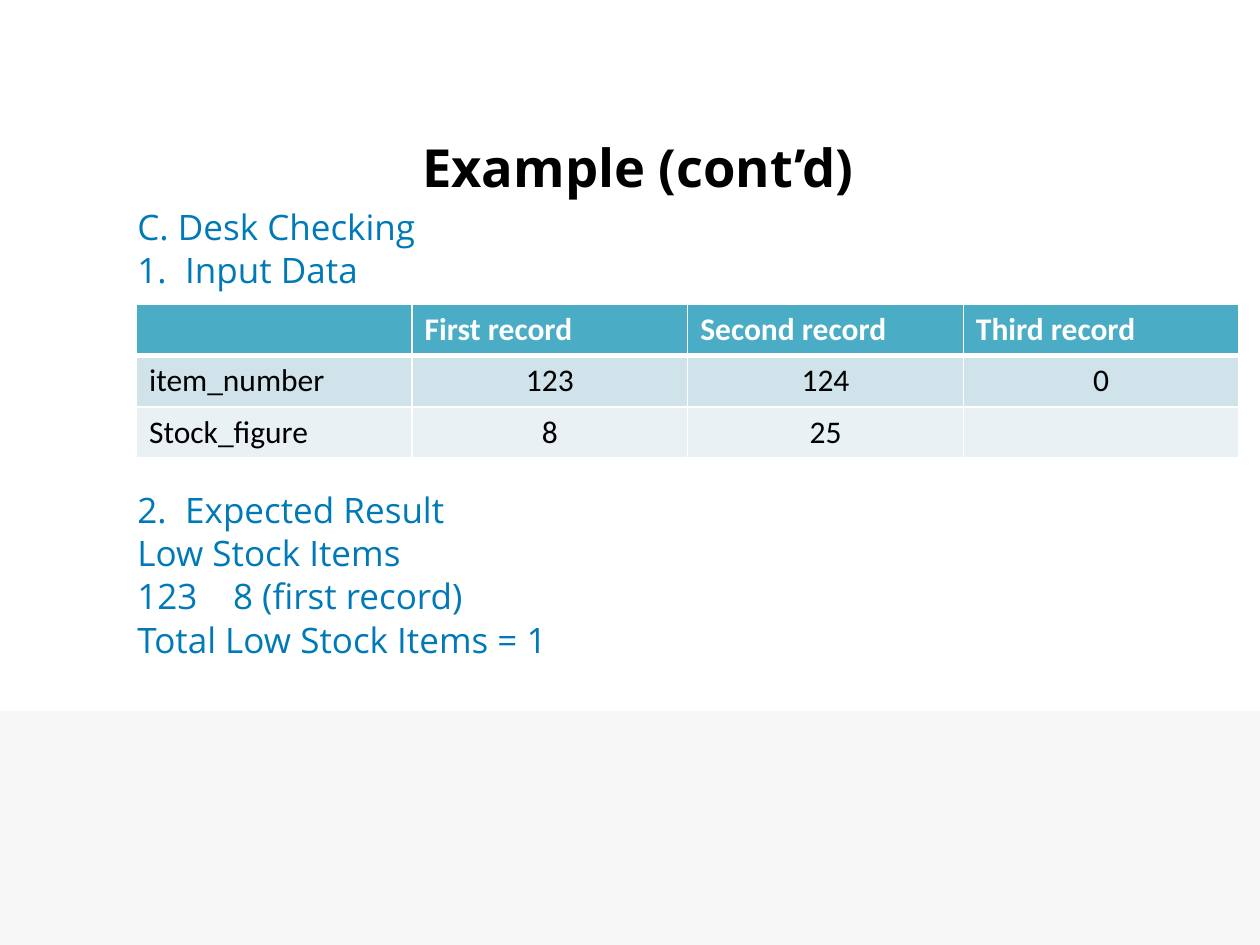
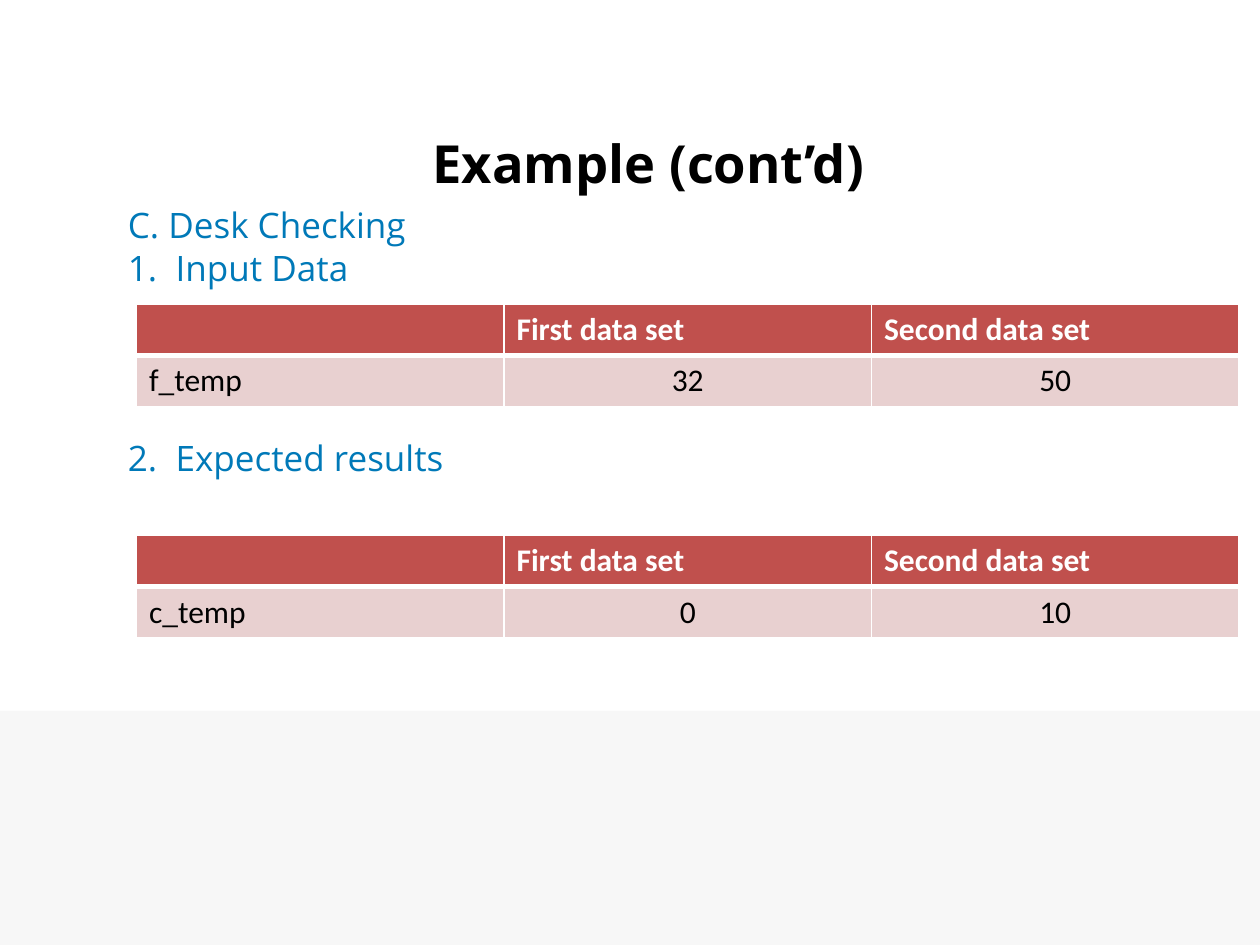
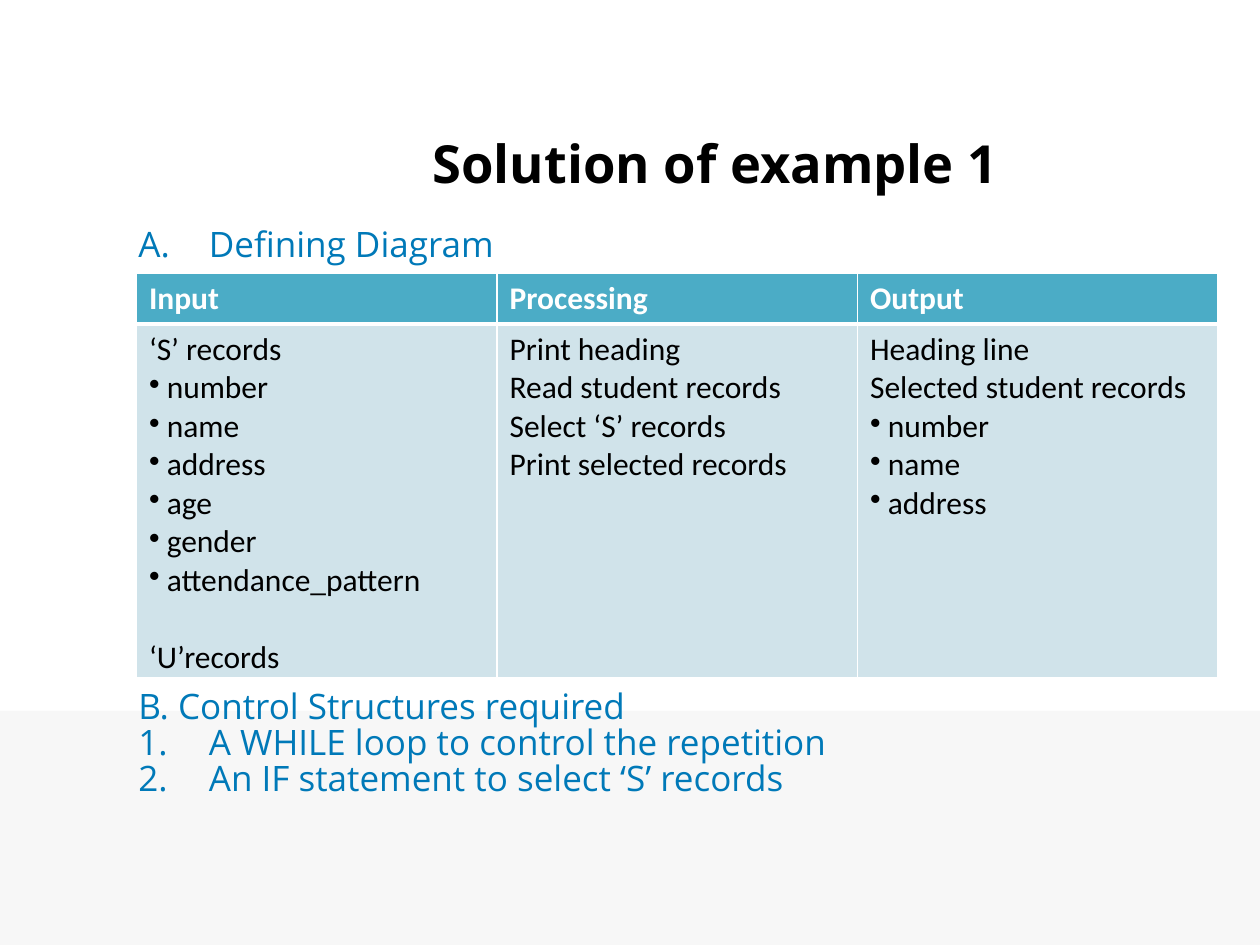
from lxml.etree import SubElement
from pptx import Presentation
from pptx.dml.color import RGBColor
from pptx.enum.shapes import MSO_SHAPE
from pptx.enum.text import MSO_ANCHOR, PP_ALIGN
from pptx.oxml.ns import qn
from pptx.util import Emu, Inches, Pt

BLACK = RGBColor(0x00, 0x00, 0x00)
WHITE = RGBColor(0xFF, 0xFF, 0xFF)
BLUE = RGBColor(0x00, 0x79, 0xB8)
BAND = RGBColor(0xF7, 0xF7, 0xF7)
TEAL = RGBColor(0x4B, 0xAC, 0xC6)
TEAL_MID = RGBColor(0xD0, 0xE3, 0xEA)
TEAL_PALE = RGBColor(0xE9, 0xF1, 0xF5)
RED = RGBColor(0xC0, 0x50, 0x4D)
RED_MID = RGBColor(0xE8, 0xD0, 0xD0)
TEAL_ROWS = (TEAL, TEAL_MID, TEAL_PALE)
RED_ROWS = (RED, RED_MID)

COLS, ROWS = 120, 90
TEXT_FONT, TABLE_FONT = "Open Sans", "Calibri"
LINE_GAP = 0.75
LINE_PITCH = 28
ROW_H = 4.88


class Deck:
    """Holds the style and the current slide; lengths are grid columns and rows."""

    def __init__(self):
        self.prs = Presentation()
        self.prs.slide_width, self.prs.slide_height = Inches(10), Inches(7.5)
        self.has_band = False

    def x(self, cols):
        return Emu(round(self.prs.slide_width * cols / COLS))

    def y(self, rows):
        return Emu(round(self.prs.slide_height * rows / ROWS))

    def box(self, left, top, width, height):
        return self.x(left), self.y(top), self.x(width), self.y(height)

    def style(self, p, font, size, color, bold=False):
        for r in p.runs:
            r.font.name, r.font.size, r.font.bold = font, Pt(size), bold
            r.font.color.rgb = color

    def hang(self, p, inches, tag, **attrs):
        pPr = p._p.get_or_add_pPr()
        pPr.set("marL", str(Inches(inches)))
        pPr.set("indent", str(-Inches(inches)))
        SubElement(pPr, qn(tag), **attrs)

    def slide(self, title, *area):
        self.s = self.prs.slides.add_slide(self.prs.slide_layouts[5])
        if not self.has_band:
            self.master_band()
        sp = self.s.shapes.title
        sp.left, sp.top, sp.width, sp.height = self.box(*area)
        tf = sp.text_frame
        tf.text = title
        tf.vertical_anchor = MSO_ANCHOR.MIDDLE
        tf.paragraphs[0].alignment = PP_ALIGN.LEFT
        self.style(tf.paragraphs[0], TEXT_FONT, 30, BLACK, True)

    def master_band(self):
        sp = self.s.shapes.add_shape(MSO_SHAPE.RECTANGLE, *self.box(0, 67.7, COLS, 22.3))
        sp.shadow.inherit = False
        sp.fill.solid()
        sp.fill.fore_color.rgb = BAND
        sp.line.fill.background()
        sp.element.nvSpPr.cNvPr.set("id", "20")
        self.prs.slide_master.shapes.element.insert(2, sp.element)
        self.has_band = True

    def body(self, *area):
        self.tf = self.s.shapes.add_textbox(*self.box(*area)).text_frame
        self.tf.word_wrap = True

    def line(self, text, before=LINE_GAP, number=None, start=1, hang=0.38, spacing=None):
        first = self.tf.paragraphs[0]
        p = self.tf.add_paragraph() if first.runs else first
        p.text = text
        p.space_before = Pt(before)
        p.line_spacing = spacing
        self.style(p, TEXT_FONT, 20, BLUE)
        if number:
            self.hang(p, hang, "a:buAutoNum", type=number, startAt=str(start))

    def border(self, cell, side, width):
        ln = SubElement(cell._tc.get_or_add_tcPr(), qn("a:" + side), w=str(Pt(width)))
        fill = SubElement(ln, qn("a:solidFill"))
        SubElement(fill, qn("a:srgbClr"), val=str(WHITE))

    def cell(self, cell, text, row, col, fill, centred):
        cell.text_frame.text = text
        for side in ("lnL", "lnR", "lnT", "lnB"):
            under_header = (row, side) in ((0, "lnB"), (1, "lnT"))
            self.border(cell, side, 3 if under_header else 1)
        cell.fill.solid()
        cell.fill.fore_color.rgb = fill
        for p in cell.text_frame.paragraphs:
            if p.text.startswith("•"):
                p.text = p.text[1:]
                self.hang(p, 0.14, "a:buChar", char="•")
            if centred and row and col:
                p.alignment = PP_ALIGN.CENTER
            self.style(p, TABLE_FONT, 18, BLACK if row else WHITE, not row)

    def table(self, left, top, width, data, fills, heights=None, centred=True):
        heights = heights or [ROW_H] * len(data)
        area = self.box(left, top, width, sum(heights))
        tbl = self.s.shapes.add_table(len(data), len(data[0]), *area).table
        for column in tbl.columns:
            column.width = self.x(width / len(data[0]))
        for i, (texts, height, fill) in enumerate(zip(data, heights, fills)):
            tbl.rows[i].height = self.y(height)
            for j, text in enumerate(texts):
                self.cell(tbl.cell(i, j), text, i, j, fill, centred)
        return tbl


def gap(lines):
    return lines * LINE_PITCH + LINE_GAP


def stock_check(d):
    d.slide("Example (cont’d)", 39, 11, 79, 9.75)
    d.body(11.9, 19, 106, 62.6)
    d.line("C. Desk Checking")
    d.line("Input Data", number="arabicPeriod")
    d.line("Expected Result", gap(4), "arabicPeriod", 2)
    d.line("Low Stock Items")
    d.line("8 (first record)", number="arabicPlain", start=123, hang=0.76)
    d.line("Total Low Stock Items = 1")
    d.table(13, 29, 105, [
        ["", "First record", "Second record", "Third record"],
        ["item_number", "123", "124", "0"],
        ["Stock_figure", "8", "25", ""],
    ], TEAL_ROWS)


def temperature_check(d):
    d.slide("Example (cont’d)", 40, 10, 80, 11)
    d.body(11, 18.75, 103, 61.7)
    d.line("C. Desk Checking")
    d.line("Input Data", number="arabicPeriod")
    d.line("Expected results", gap(3), "arabicPeriod", 2)
    header = ["", "First data set", "Second data set"]
    d.table(13, 29, 105, [header, ["f_temp", "32", "50"]], RED_ROWS)
    d.table(13, 51, 105, [header, ["c_temp", "0", "10"]], RED_ROWS)


def student_solution(d):
    d.slide("Solution of example 1", 40, 10, 74.6, 11)
    d.body(12, 20.6, 102, 62.75)
    d.line("Defining Diagram", number="alphaUcPeriod", hang=0.56)
    d.line("B. Control Structures required", 244.5, spacing=0.8)
    steps = ["A WHILE loop to control the repetition",
             "An IF statement to select ‘S’ records"]
    for i, step in enumerate(steps, 1):
        d.line(step, 1.35, "arabicPeriod", i, 0.56, 0.8)
    tbl = d.table(13, 26, 103, [
        ["Input", "Processing", "Output"],
        ["‘S’ records\n•number\n•name\n•address\n•age\n•gender\n•attendance_pattern\n‘U’records",
         "Print heading\nRead student records\nSelect ‘S’ records\nPrint selected records",
         "Heading line\nSelected student records\n•number\n•name\n•address"],
    ], TEAL_ROWS, [ROW_H, 33.6], centred=False)
    tbl.cell(1, 0).text_frame.paragraphs[-1].space_before = Pt(22)


def main():
    d = Deck()
    stock_check(d)
    temperature_check(d)
    student_solution(d)
    d.prs.save("out.pptx")


if __name__ == "__main__":
    main()
